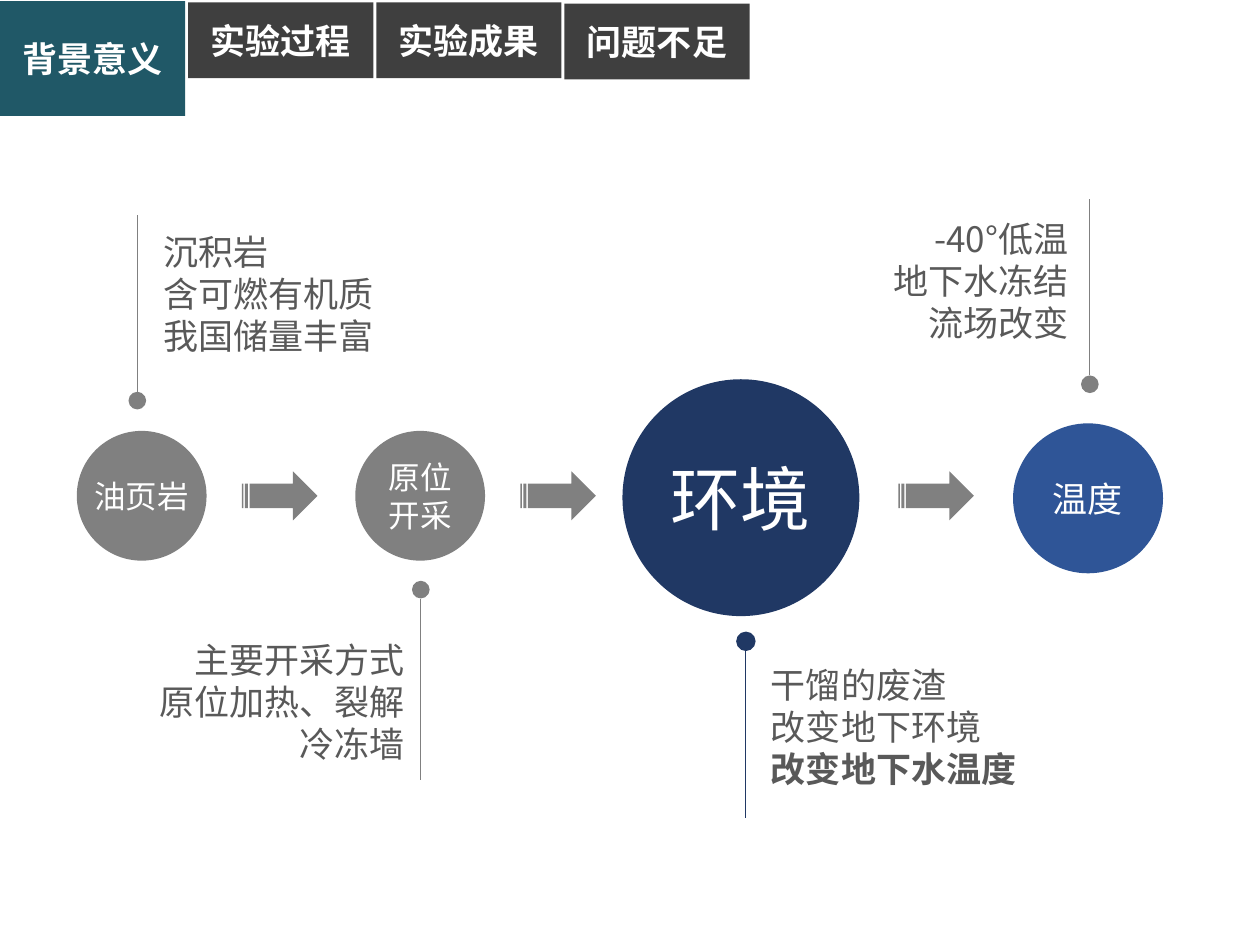
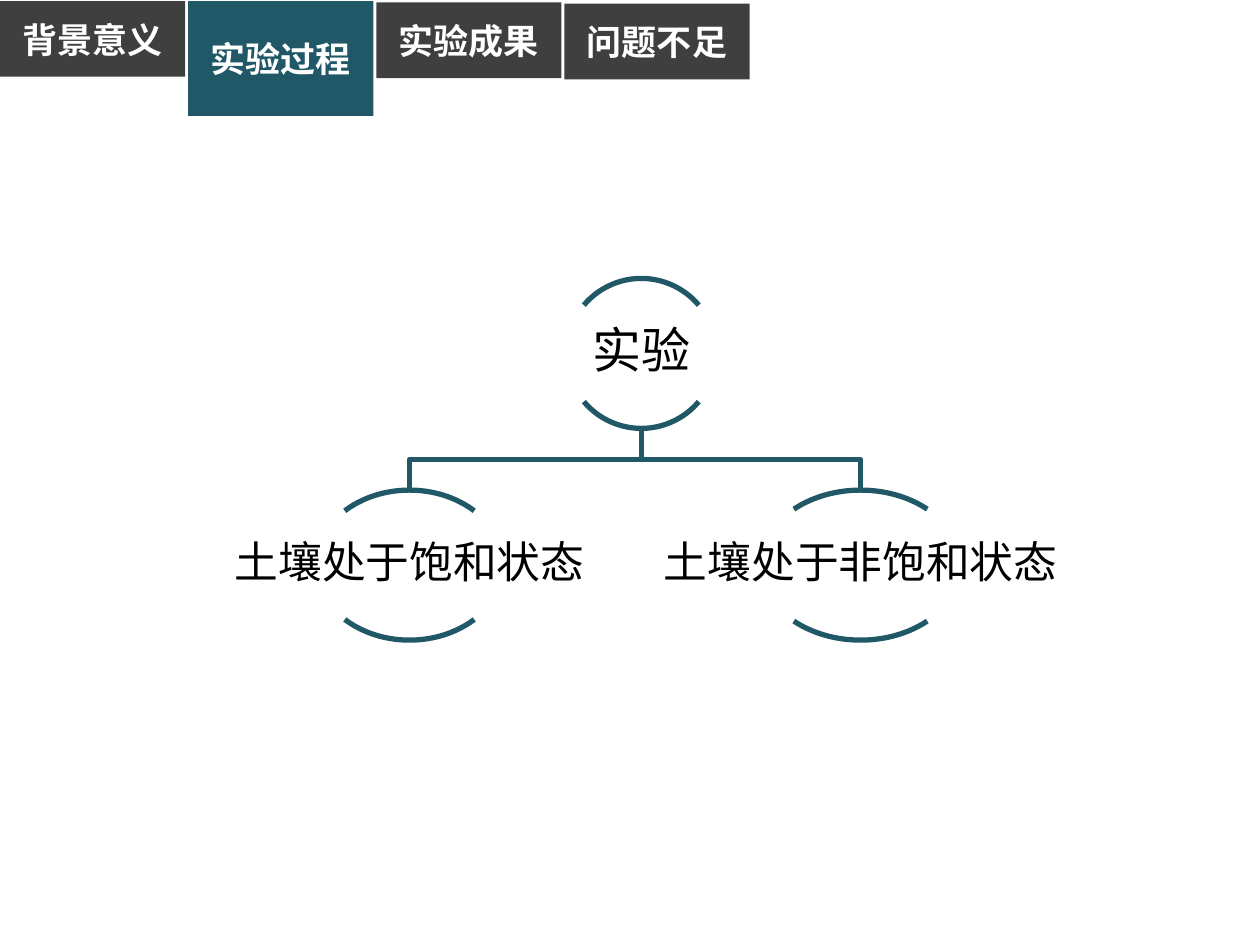
from pptx import Presentation
from pptx.dml.color import RGBColor
from pptx.enum.shapes import MSO_CONNECTOR, MSO_SHAPE as SHAPE
from pptx.enum.text import MSO_ANCHOR as ANCHOR, MSO_AUTO_SIZE, PP_ALIGN as ALIGN
from pptx.oxml.ns import qn
from pptx.util import Inches, Pt
from lxml import etree

FONT = "Noto Sans CJK SC"
TEAL = RGBColor(0x20, 0x58, 0x67)
CHARCOAL = RGBColor(0x3F, 0x3F, 0x3F)
GRAY = RGBColor(0x80, 0x80, 0x80)
TEXT_GRAY = RGBColor(0x59, 0x59, 0x59)
NAVY = RGBColor(0x20, 0x38, 0x64)
BLUE = RGBColor(0x2F, 0x55, 0x97)
WHITE = RGBColor(0xFF, 0xFF, 0xFF)
BLACK = RGBColor(0, 0, 0)

SECTIONS = [("背景意义", 0.01), ("实验过程", 0.02), ("实验成果", 0.02), ("问题不足", 0.03)]
TAB_WIDTH = 1.47
TAB_STEP = (5.95 - TAB_WIDTH) / (len(SECTIONS) - 1)
DOT = 0.14
NODE_HEIGHT = 1.19


def write(target, lines, size=20, color=WHITE, bold=False, align=ALIGN.CENTER,
          anchor=ANCHOR.MIDDLE, wrap=True, inset=(0.1, 0.05), spacing=None, bold_last=False):
    frame = target.text_frame
    frame.auto_size = MSO_AUTO_SIZE.NONE
    frame.word_wrap = wrap
    frame.vertical_anchor = anchor
    frame.margin_left = frame.margin_right = Inches(inset[0])
    frame.margin_top = frame.margin_bottom = Inches(inset[1])
    for index, line in enumerate(lines):
        paragraph = frame.add_paragraph() if index else frame.paragraphs[0]
        paragraph.alignment = align
        if spacing:
            paragraph.line_spacing = spacing
        run = paragraph.add_run()
        run.text = line
        font = run.font
        font.name, font.size, font.color.rgb = FONT, Pt(size), color
        font.bold = bold or (bold_last and index == len(lines) - 1)
        east_asian = etree.SubElement(font._element, qn("a:ea"))
        east_asian.set("typeface", FONT)


def add_filled(slide, kind, left, top, width, height, color):
    filled = slide.shapes.add_shape(kind, *map(Inches, (left, top, width, height)))
    filled.shadow.inherit = False
    filled.fill.solid()
    filled.fill.fore_color.rgb = color
    filled.line.fill.background()
    return filled


def outline(target, color, weight):
    target.line.color.rgb = color
    target.line.width = Pt(weight)


def add_text(slide, lines, left, top, width, height, **text_format):
    box = slide.shapes.add_textbox(*map(Inches, (left, top, width, height)))
    write(box, lines, **text_format)


def add_tabs(slide, active):
    for index, (section, top) in enumerate(SECTIONS):
        left = index * TAB_STEP
        if index == active:
            tab = slide.shapes.title
            tab.left, tab.top = Inches(left), Inches(0.01)
            tab.width, tab.height = Inches(TAB_WIDTH), Inches(0.91)
            tab.fill.solid()
            tab.fill.fore_color.rgb = TEAL
        else:
            tab = add_filled(slide, SHAPE.RECTANGLE, left, top, TAB_WIDTH, 0.6, CHARCOAL)
        write(tab, [section], bold=True)


def add_circle(slide, topic, left, top, diameter, color, **text_format):
    circle = add_filled(slide, SHAPE.OVAL, left, top, diameter, diameter, color)
    write(circle, [topic], **text_format)


def add_pin(slide, center, dot_top, line_end, color=GRAY, dot_outline=False):
    dot = add_filled(slide, SHAPE.OVAL, center - DOT / 2, dot_top, DOT, DOT, color)
    if dot_outline:
        outline(dot, color, 1)
    line_start = dot_top + DOT if line_end > dot_top else dot_top
    stem = slide.shapes.add_connector(
        MSO_CONNECTOR.STRAIGHT, *map(Inches, (center, line_start, center, line_end)))
    outline(stem, color, 0.5)
    etree.SubElement(stem._element.spPr, qn("a:effectLst"))


def add_note(slide, lines, left, top, width, **text_format):
    add_text(slide, lines, left, top, width, 1.11,
             color=TEXT_GRAY, anchor=ANCHOR.TOP, **text_format)


def add_branch(slide, parent, child):
    (start_x, start_y), (end_x, end_y) = parent, child
    middle = (start_y + end_y) / 2
    builder = slide.shapes.build_freeform(Inches(start_x), Inches(start_y))
    corners = [(start_x, middle), (end_x, middle), (end_x, end_y)]
    builder.add_line_segments([(Inches(x), Inches(y)) for x, y in corners], close=False)
    branch = builder.convert_to_shape()
    branch.shadow.inherit = False
    branch.fill.background()
    outline(branch, TEAL, 3)


def add_arc_node(slide, label, center, top, arc_width, text_width, size):
    for angles in ((132, 192), (24, 84)):
        arc = slide.shapes.add_shape(
            SHAPE.ARC, *map(Inches, (center - arc_width / 2, top, arc_width, NODE_HEIGHT)))
        arc.adjustments[0], arc.adjustments[1] = angles
        arc.shadow.inherit = False
        arc.fill.background()
        outline(arc, TEAL, 3)
    add_text(slide, [label], center - text_width / 2, top + 0.21, text_width, 0.76,
             size=size, color=BLACK, inset=(0.02, 0.02), spacing=0.9)


def build_background(slide):
    add_tabs(slide, 0)
    add_circle(slide, "油页岩", 0.61, 3.42, 1.03, GRAY, size=18, wrap=False, inset=(0, 0.04))
    add_circle(slide, "原位开采", 2.82, 3.42, 1.03, GRAY, size=18)
    add_circle(slide, "环境", 4.94, 3.01, 1.88, NAVY, size=40)
    add_circle(slide, "温度", 8.04, 3.36, 1.19, BLUE, wrap=False)
    for arrow_left in (1.92, 4.13, 7.13):
        add_filled(slide, SHAPE.STRIPED_RIGHT_ARROW, arrow_left, 3.74, 0.6, 0.39, GRAY)

    add_pin(slide, 1.09, 3.11, 1.71)
    add_note(slide, ["沉积岩", "含可燃有机质", "我国储量丰富"], 1.2, 1.78, 1.88, align=ALIGN.LEFT)
    add_pin(slide, 3.34, 4.61, 6.19)
    add_note(slide, ["主要开采方式", "原位加热、裂解", "冷冻墙"], 1.14, 5.02, 2.17,
             align=ALIGN.RIGHT)
    add_pin(slide, 5.92, 5.02, 6.49, color=NAVY, dot_outline=True)
    add_note(slide, ["干馏的废渣", "改变地下环境", "改变地下水温度"], 6.02, 5.22, 2.62,
             align=ALIGN.LEFT, bold_last=True)
    add_pin(slide, 8.65, 2.98, 1.58)
    add_note(slide, ["-40°低温", "地下水冻结", "流场改变"], 6.68, 1.68, 1.9, align=ALIGN.RIGHT)


def build_process(slide):
    add_tabs(slide, 1)
    root_center, root_top, state_top = 5.09, 2.21, 3.89
    states = [("土壤处于饱和状态", 3.25, 1.49, 2.99), ("土壤处于非饱和状态", 6.83, 1.59, 3.17)]
    add_arc_node(slide, "实验", root_center, root_top, NODE_HEIGHT, 2.37, 28)
    for state, center, arc_width, text_width in states:
        add_branch(slide, (root_center, root_top + NODE_HEIGHT), (center, state_top))
        add_arc_node(slide, state, center, state_top, arc_width, text_width, 25)


def main():
    deck = Presentation()
    deck.slide_width, deck.slide_height = Inches(10), Inches(7.5)
    title_only = deck.slide_layouts[5]
    for build in (build_background, build_process):
        build(deck.slides.add_slide(title_only))
    deck.save("out.pptx")


if __name__ == "__main__":
    main()
